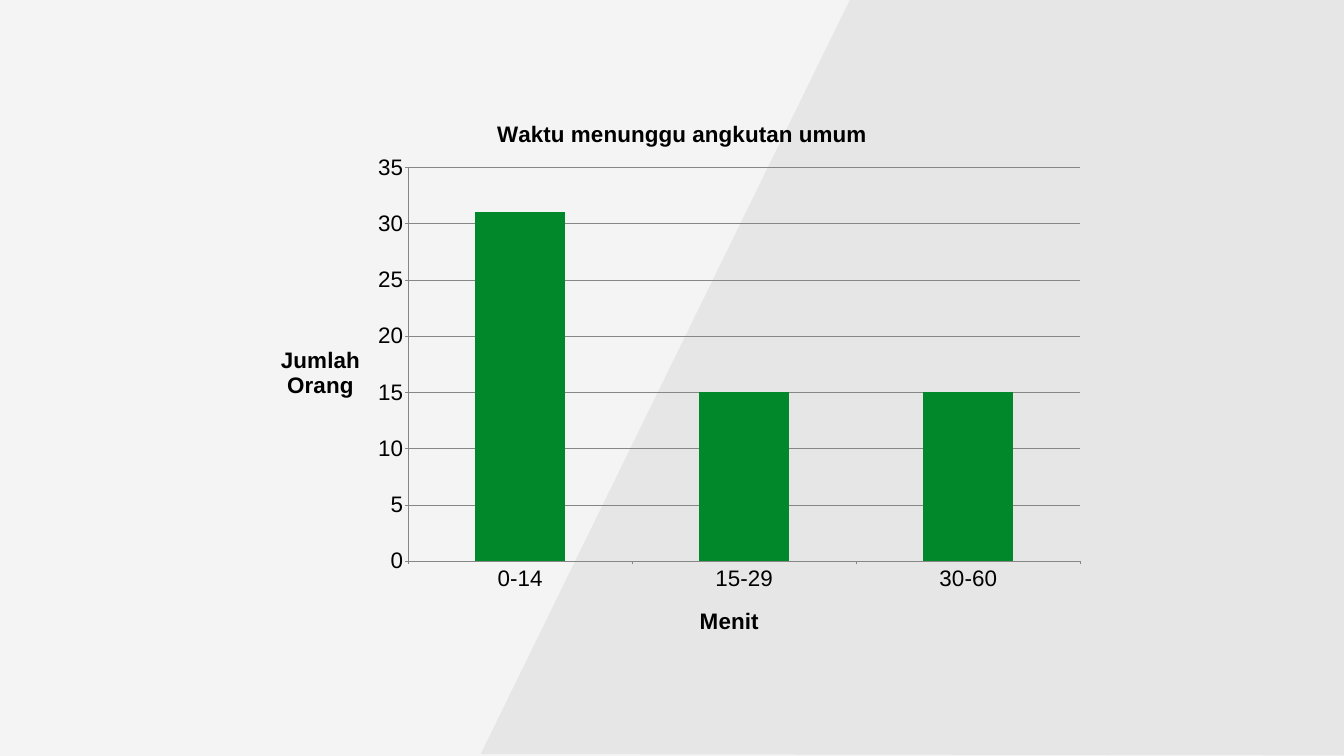
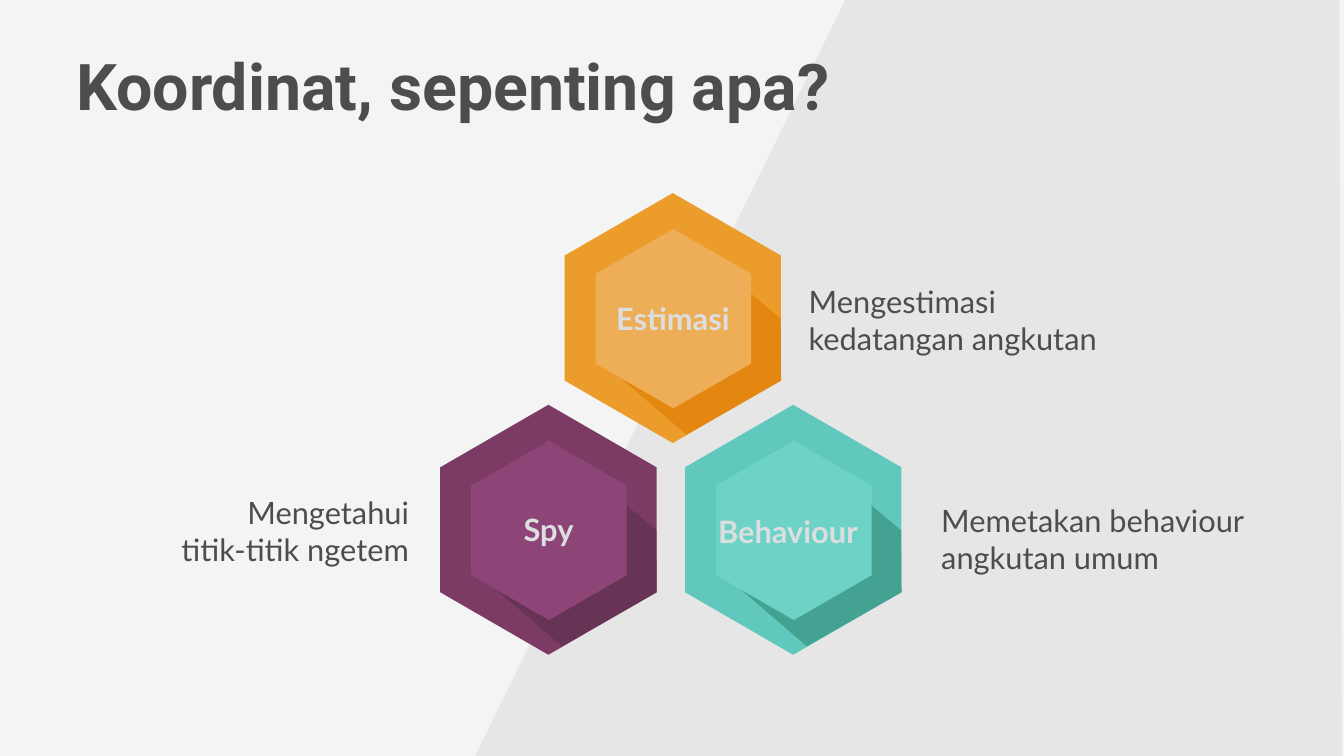
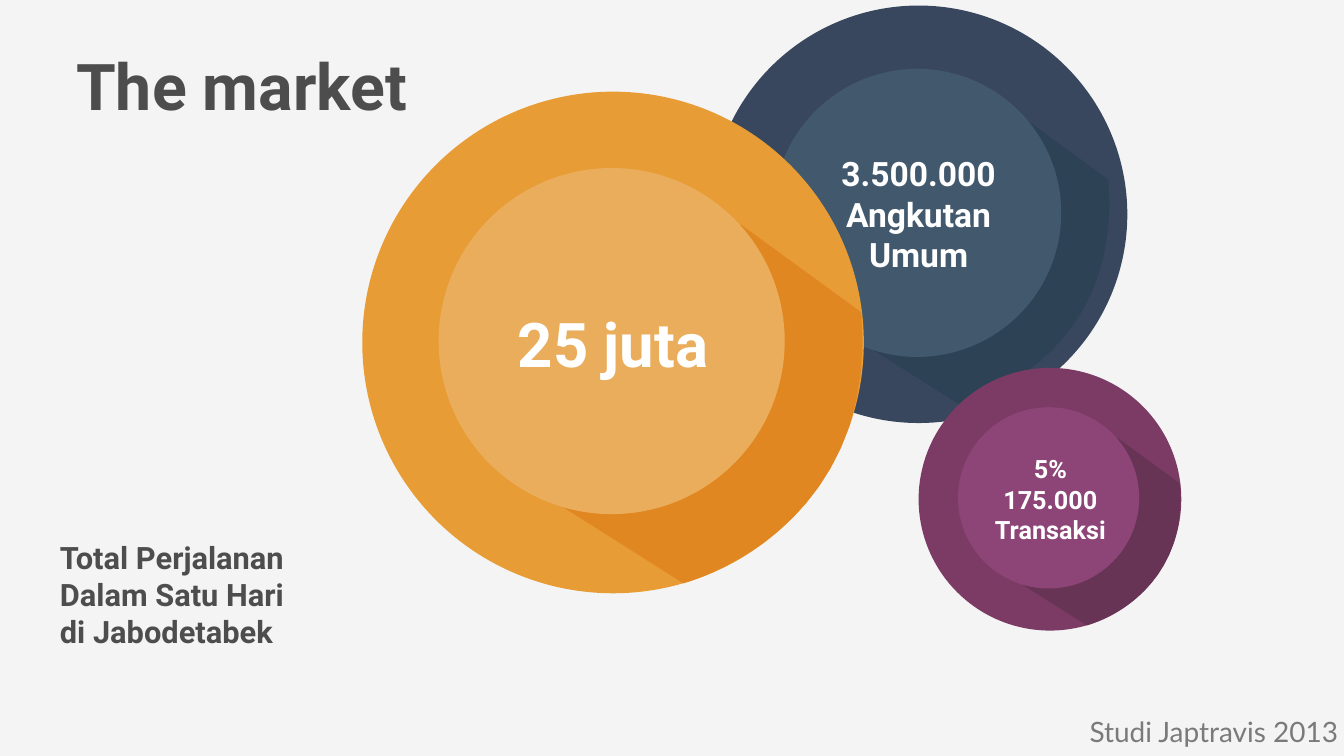
"""Build three slides on public transport: waiting times, coordinates and the market."""
from lxml import etree
from pptx import Presentation
from pptx.chart.data import CategoryChartData
from pptx.dml.color import RGBColor
from pptx.enum.chart import XL_CHART_TYPE, XL_TICK_MARK
from pptx.enum.shapes import MSO_SHAPE
from pptx.enum.text import MSO_ANCHOR, PP_ALIGN
from pptx.oxml.ns import qn
from pptx.util import Cm, Pt

COLUMN = XL_CHART_TYPE.COLUMN_CLUSTERED
OUTSIDE = XL_TICK_MARK.OUTSIDE
OVAL = MSO_SHAPE.OVAL
TOP, MIDDLE = MSO_ANCHOR.TOP, MSO_ANCHOR.MIDDLE
LEFT, CENTER, RIGHT = PP_ALIGN.LEFT, PP_ALIGN.CENTER, PP_ALIGN.RIGHT

COLORS = {
    "background": "F4F4F4", "band": "E6E6E6", "text": "4D4D4D", "muted": "7A7A7A",
    "white": "FFFFFF", "pale": "DCDEE0", "black": "000000", "grid": "868686", "bar": "00882B",
    "plum": "7C3B65", "plum_shade": "683456", "plum_light": "8D4477",
    "teal": "61C8BE", "teal_shade": "44A292", "teal_light": "6DD3C7",
    "amber": "EB9C2A", "amber_shade": "E38710", "amber_light": "EEAD57",
    "orange": "E89C35", "orange_shade": "E08722", "orange_light": "EAAD5C",
    "navy": "38475D", "navy_shade": "2E4256", "navy_light": "42596D",
}
RGB = {name: RGBColor.from_string(value) for name, value in COLORS.items()}


def write(tf, text, size=44, font="Lato", color="text", bold=False, align=LEFT):
    """Fill a text frame, one paragraph for each line."""
    tf.text = text
    for p in tf.paragraphs:
        p.alignment = align
        for r in p.runs:
            r.font.size, r.font.name, r.font.bold = Pt(size), font, bold
            r.font.color.rgb = RGB[color]


def add_polygon(s, points, color):
    """Draw a closed outline through points given in centimetres."""
    points = [(Cm(x), Cm(y)) for x, y in points]
    builder = s.shapes.build_freeform(*points[0], scale=1.0)
    builder.add_line_segments(points[1:], close=True)
    sp = builder.convert_to_shape()
    sp.shadow.inherit = False
    sp.fill.solid()
    sp.fill.fore_color.rgb = RGB[color]
    sp.line.fill.background()


prs = Presentation()
prs.slide_width, prs.slide_height = Cm(67.74), Cm(38.1)
slides = [prs.slides.add_slide(prs.slide_layouts[6]) for _ in range(3)]
wait_slide, coordinate_slide, market_slide = slides
for s in slides:
    s.background.fill.solid()
    s.background.fill.fore_color.rgb = RGB["background"]

BAND = [(42.93, -0.2), (67.77, -0.25), (67.92, 38.07), (24.23, 38)]
for s, dx, dy in [(wait_slide, 0, 0), (coordinate_slide, -0.28, 0.1)]:
    add_polygon(s, [(x + dx, y + dy) for x, y in BAND], "band")

data = CategoryChartData()
data.categories = ["0-14", "15-29", "30-60"]
data.add_series("Series 1", [31, 15, 15])
chart = wait_slide.shapes.add_chart(
    COLUMN, Cm(13.46), Cm(5.13), Cm(41.83), Cm(27.56), data).chart
chart.font.size, chart.font.name = Pt(32), "Arial"
chart.font.color.rgb = RGB["black"]
chart.has_legend = False
chart.has_title = True
chart.chart_title.include_in_layout = False
category_axis, value_axis = chart.category_axis, chart.value_axis
for title, text in [(chart.chart_title, "Waktu menunggu angkutan umum"),
                    (category_axis.axis_title, "Menit"),
                    (value_axis.axis_title, "Jumlah\nOrang")]:
    write(title.text_frame, text, size=32, font="Arial", color="black", bold=True, align=CENTER)
value_title_body = value_axis.axis_title.text_frame._txBody.find(qn("a:bodyPr"))
value_title_body.set("rot", "0")
value_title_body.set("vert", "horz")
value_axis.minimum_scale, value_axis.maximum_scale, value_axis.major_unit = 0, 35, 5
value_axis.has_major_gridlines = True
for axis in (category_axis, value_axis):
    axis.major_tick_mark = OUTSIDE
for lined in (category_axis, value_axis, value_axis.major_gridlines):
    lined.format.line.color.rgb = RGB["grid"]
    lined.format.line.width = Pt(0.75)
plot = chart.plots[0]
plot.gap_width = 150
plot.vary_by_categories = False
plot.series[0].format.fill.solid()
plot.series[0].format.fill.fore_color.rgb = RGB["bar"]

plot_area = chart._chartSpace.find(".//" + qn("c:plotArea"))
for layout in plot_area.findall(qn("c:layout")):
    plot_area.remove(layout)
layout = etree.Element(qn("c:layout"))
plot_area.insert(0, layout)
manual = etree.SubElement(layout, qn("c:manualLayout"))
for tag, value in [("layoutTarget", "inner"), ("xMode", "edge"), ("yMode", "edge"),
                   ("x", "0.17"), ("y", "0.12"), ("w", "0.81"), ("h", "0.72")]:
    etree.SubElement(manual, qn("c:" + tag)).set("val", value)

HEXAGON = [(0, -1), (1, -0.5), (1, 0.5), (0, 1), (-1, 0.5), (-1, -0.5)]
HEXAGON_SHADE = [(0.69, 5.87), (5.46, 3.15), (5.44, 0.03), (3.78, -1.37), (-2.69, 2.97)]
for cx, cy, color in [(27.64, 26.7, "plum"), (39.98, 26.7, "teal"), (33.91, 16.03, "amber")]:
    add_polygon(coordinate_slide, [(cx + 5.45 * x, cy + 6.3 * y) for x, y in HEXAGON], color)
    add_polygon(coordinate_slide, [(cx + x, cy + y) for x, y in HEXAGON_SHADE], color + "_shade")
    add_polygon(coordinate_slide, [(cx + 0.03 + 3.92 * x, cy + 0.03 + 4.52 * y)
                                   for x, y in HEXAGON], color + "_light")

START, CONTROL, END = (0.28, 0.96), (1.06, 0.76), (0.99, -0.12)
CURVE = []
for i in range(21):
    t = i / 20
    weights = (1 - t) ** 2 * (1 + 2 * t), 3 * (1 - t) * t ** 2, t ** 3
    CURVE.append(tuple(sum(w * v for w, v in zip(weights, values))
                       for values in zip(START, CONTROL, END)))
CIRCLE_SHADE = [(-0.21, 0.65), *CURVE, (0.51, -0.47)]
for cx, cy, radius, dx, dy, color in [(46.3, 10.8, 10.52, -0.84, -0.48, "navy"),
                                      (30.9, 17.26, 12.64, 0, 0, "orange"),
                                      (52.92, 25.16, 6.62, 0, 0, "plum")]:
    for r, shift, tone in [(radius, 0, color), (radius * 0.69, 0.07, color + "_light")]:
        if shift:
            add_polygon(market_slide, [(cx + dx + radius * x, cy + dy + radius * y)
                                       for x, y in CIRCLE_SHADE], color + "_shade")
        sp = market_slide.shapes.add_shape(
            OVAL, Cm(cx - shift - r), Cm(cy - shift - r), Cm(2 * r), Cm(2 * r))
        sp.shadow.inherit = False
        sp.fill.solid()
        sp.fill.fore_color.rgb = RGB[tone]
        sp.line.fill.background()

TITLE = dict(size=92, font="Roboto", bold=True)
HEX_LABEL = dict(color="pale", bold=True, align=CENTER)
CIRCLE_LABEL = dict(font="Roboto", color="white", bold=True, align=CENTER)
TEXTS = [
    (coordinate_slide, "Koordinat, sepenting apa?", (3.84, 2.34, 40.54, 4.19), TITLE),
    (coordinate_slide, "Mengetahui\ntitik-titik ngetem", (3.96, 24.77, 16.81, 3.96),
     dict(align=RIGHT)),
    (coordinate_slide, "Mengestimasi kedatangan angkutan", (40.61, 14.12, 16.81, 3.96), {}),
    (coordinate_slide, "Memetakan behaviour angkutan umum", (47.29, 25.15, 16.81, 3.96), {}),
    (coordinate_slide, "Behaviour", (35.51, 24.77, 8.41, 3.96), HEX_LABEL),
    (coordinate_slide, "Estimasi", (30.4, 14.05, 7.04, 3.96), HEX_LABEL),
    (coordinate_slide, "Spy", (26.01, 24.71, 3.28, 3.96), HEX_LABEL),
    (market_slide, "The market", (3.84, 2.34, 26.37, 4.19), TITLE),
    (market_slide, "Total Perjalanan\nDalam Satu Hari\ndi Jabodetabek",
     (2.87, 22.76, 21.03, 14.33), dict(font="Roboto", bold=True)),
    (market_slide, "3.500.000\nAngkutan\vUmum", (40.89, 6.81, 10.82, 7.92),
     dict(CIRCLE_LABEL, size=48)),
    (market_slide, "25 juta", (25.58, 12.62, 10.64, 9.37), dict(CIRCLE_LABEL, size=88)),
    (market_slide, "5%\n175.000\nTransaksi", (49.28, 22.68, 7.32, 4.93),
     dict(CIRCLE_LABEL, size=36)),
    (market_slide, "Studi Japtravis 2013", (51.66, 34.9, 15.93, 3.96),
     dict(size=40, color="muted", align=RIGHT)),
]
for s, text, box, style in TEXTS:
    tf = s.shapes.add_textbox(*map(Cm, box)).text_frame
    tf.word_wrap = True
    tf.vertical_anchor = TOP if style is TITLE else MIDDLE
    inset = Cm(0 if style is TITLE else 0.15)
    tf.margin_left = tf.margin_right = tf.margin_top = tf.margin_bottom = inset
    write(tf, text, **style)

prs.save("out.pptx")
